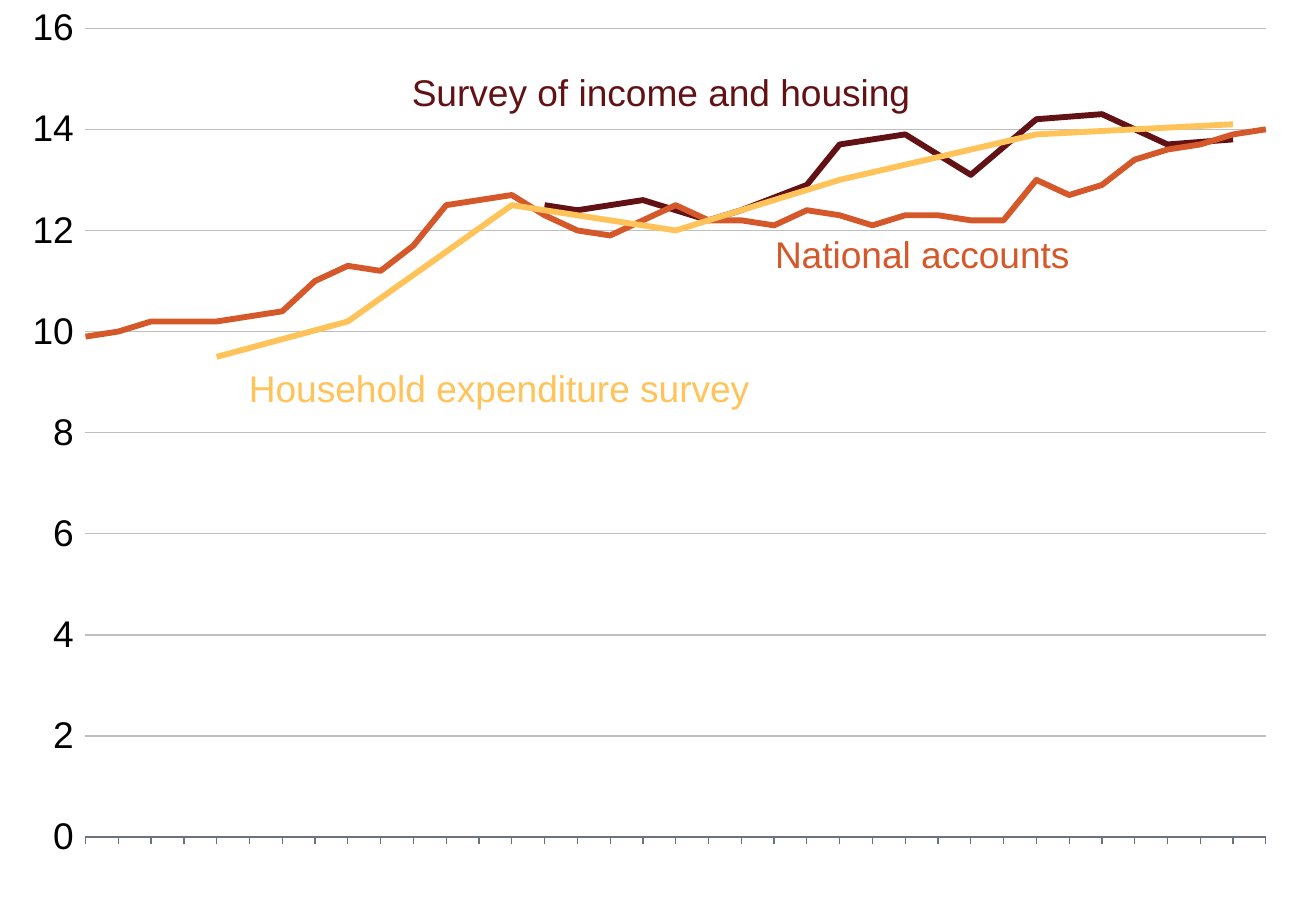
import pptx
import pptx.chart.data
import pptx.dml.color
import pptx.enum.chart
import pptx.oxml
import pptx.oxml.ns
import pptx.util
from pptx.util import Inches, Pt

FONT = "Arial"
SIZE = 22
COLORS = {"dark": "621214", "rust": "D4582A", "gold": "FFC35A",
          "text": "000000", "grid": "BFBFBF", "axis": "6A737B"}
YEARS = 37
START = 29556  # serial date of the first December

# Series: name, colour, values by year index
national = [9.9, 10, 10.2, 10.2, 10.2, 10.3, 10.4, 11, 11.3, 11.2, 11.7, 12.5, 12.6,
            12.7, 12.3, 12, 11.9, 12.2, 12.5, 12.2, 12.2, 12.1, 12.4, 12.3, 12.1,
            12.3, 12.3, 12.2, 12.2, 13, 12.7, 12.9, 13.4, 13.6, 13.7, 13.9, 14]
SERIES = [
    ("Survey of income and housing", "dark",
     {14: 12.5, 15: 12.4, 16: 12.5, 17: 12.6, 19: 12.2, 20: 12.4, 22: 12.9, 23: 13.7,
      25: 13.9, 27: 13.1, 29: 14.2, 31: 14.3, 33: 13.7, 35: 13.8}),
    ("National accounts", "rust", dict(enumerate(national))),
    ("Household expenditure survey", "gold",
     {4: 9.5, 8: 10.2, 13: 12.5, 18: 12, 23: 13, 29: 13.9, 35: 14.1}),
]
# Label boxes: left, top, width, in series order
LABELS = [(3.29, 0.52, 4.72), (6.28, 1.86, 2.9), (1.95, 2.96, 5.38)]
PLOT = {"x": 0.065, "y": 0.031, "w": 0.897, "h": 0.888}


def rgb(name):
    return pptx.dml.color.RGBColor.from_string(COLORS[name])


def style(font, color, size=SIZE):
    font.name, font.size = FONT, Pt(size)
    font.color.rgb = rgb(color)


def draw(line, color, width):
    line.color.rgb = rgb(color)
    line.width = Pt(width)


def put(prev, tag, val):
    """Set the value of a chart element, adding it after prev if missing."""
    qname = pptx.oxml.ns.qn(tag)
    item = prev.getparent().find(qname)
    if item is None:
        item = prev.makeelement(qname, {})
        prev.addnext(item)
    item.set("val", val)


deck = pptx.Presentation()
deck.slide_width, deck.slide_height = Inches(10.83), Inches(7.5)
slide = deck.slides.add_slide(deck.slide_layouts[6])

# Chart
data = pptx.chart.data.CategoryChartData(number_format="0.0")
data.categories = [int(START + 365.25 * i) for i in range(YEARS)]
data.categories.number_format = "yyyy"
for name, color, vals in SERIES:
    data.add_series(name, [vals.get(i) for i in range(YEARS)])
chart = slide.shapes.add_chart(
    pptx.enum.chart.XL_CHART_TYPE.LINE, 0, 0,
    deck.slide_width, deck.slide_height, data).chart
chart.has_legend = chart.has_title = False
style(chart.font, "text", 18)
chart.plots[0].vary_by_categories = False
for series, (name, color, vals) in zip(chart.plots[0].series, SERIES):
    series.smooth = False
    series.marker.style = pptx.enum.chart.XL_MARKER_STYLE.NONE
    draw(series.format.line, color, 3.5)

# Axes
years, scale = chart.category_axis, chart.value_axis
years.tick_label_position = pptx.enum.chart.XL_TICK_LABEL_POSITION.NONE
years.has_major_gridlines = False
draw(years.format.line, "axis", 0.75)
scale.minimum_scale, scale.maximum_scale, scale.major_unit = 0, 16, 2
scale.has_major_gridlines = True
draw(scale.major_gridlines.format.line, "grid", 0.75)
scale.format.line.fill.background()
scale.tick_labels.number_format = "0"
scale.tick_labels.number_format_is_linked = False
for axis in (years, scale):
    axis.major_tick_mark = pptx.enum.chart.XL_TICK_MARK.OUTSIDE
    axis.minor_tick_mark = pptx.enum.chart.XL_TICK_MARK.NONE
    style(axis.tick_labels.font, "text")

# Lines start on the axis and run across missing years
root = chart.element
put(root.xpath(".//c:valAx/c:crosses")[0], "c:crossBetween", "midCat")
put(root.xpath(".//c:plotVisOnly")[0], "c:dispBlanksAs", "span")

# Plot area position
area = root.xpath(".//c:plotArea")[0]
for old in area.xpath("./c:layout"):
    area.remove(old)
modes = '<c:layoutTarget val="inner"/><c:xMode val="edge"/><c:yMode val="edge"/>'
sides = "".join(f'<c:{key} val="{val}"/>' for key, val in PLOT.items())
area.insert(0, pptx.oxml.parse_xml(
    f'<c:layout {pptx.oxml.ns.nsdecls("c")}><c:manualLayout>{modes}{sides}'
    '</c:manualLayout></c:layout>'))

# Series labels
for (name, color, vals), (left, top, width) in zip(SERIES, LABELS):
    box = slide.shapes.add_textbox(Inches(left), Inches(top), Inches(width), Inches(0.47))
    box.text_frame.word_wrap = True
    para = box.text_frame.paragraphs[0]
    para.text = name
    style(para.font, color)

deck.save("out.pptx")
